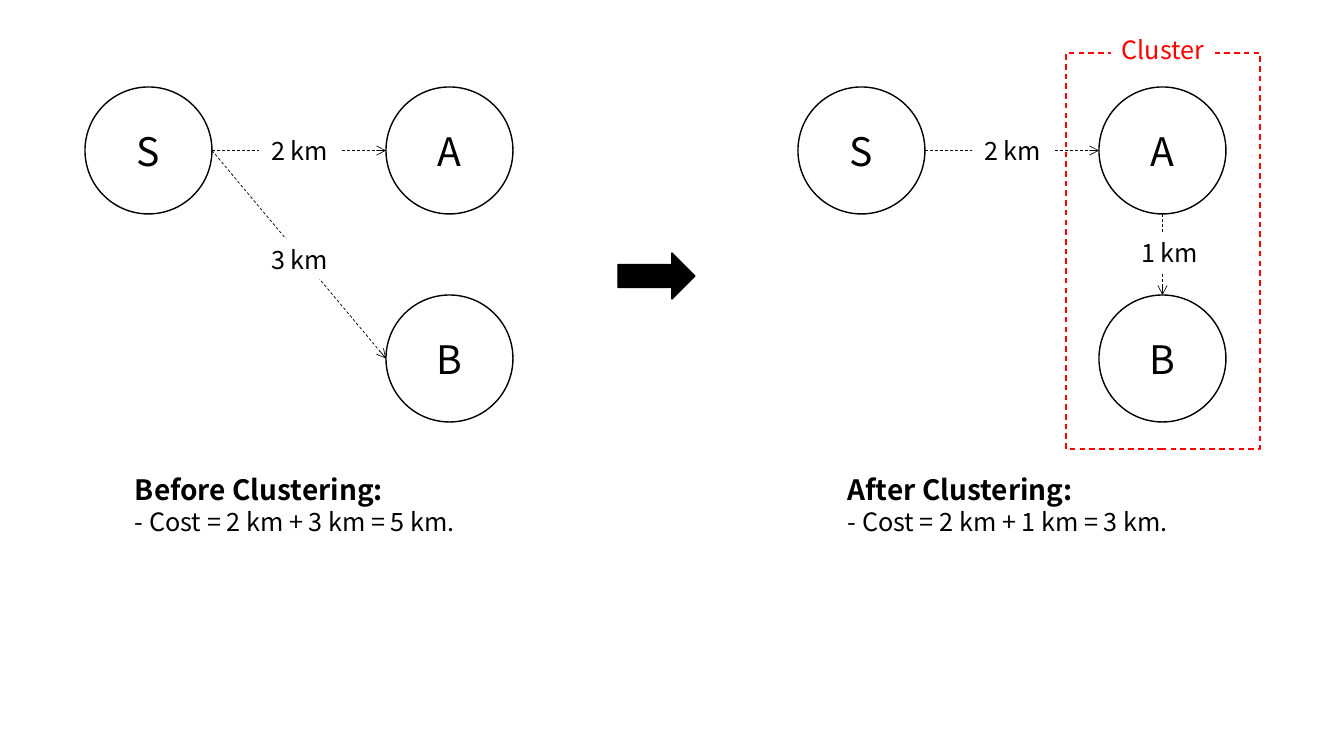
from lxml import etree
from pptx import Presentation
from pptx.dml.color import RGBColor
from pptx.enum.dml import MSO_LINE
from pptx.enum.shapes import MSO_CONNECTOR, MSO_SHAPE
from pptx.enum.text import MSO_ANCHOR, MSO_AUTO_SIZE, PP_ALIGN
from pptx.oxml.ns import qn
from pptx.util import Pt

OVAL, RECT, ARROW = MSO_SHAPE.OVAL, MSO_SHAPE.RECTANGLE, MSO_SHAPE.RIGHT_ARROW
STRAIGHT, DASH = MSO_CONNECTOR.STRAIGHT, MSO_LINE.DASH
LEFT, CENTER = PP_ALIGN.LEFT, PP_ALIGN.CENTER
MIDDLE, GROW = MSO_ANCHOR.MIDDLE, MSO_AUTO_SIZE.SHAPE_TO_FIT_TEXT

COLORS = {"ink": "000000", "paper": "FFFFFF", "cluster": "FF0000"}
FONT = "Noto Sans CJK KR"
PX = 914400 / 100.8

DIAMETER = 127
NODES = {"S": (0, 87), "A": (301, 87), "B": (301, 295)}
SIDES = {"left": (0, 0.5), "right": (1, 0.5), "top": (0.5, 0), "bottom": (0.5, 1)}
LABEL_W, LABEL_H = 81, 40

PANELS = [
    {
        "left": 85,
        "title": "Before Clustering:",
        "cost": "- Cost = 2 km + 3 km = 5 km.",
        "edges": [("S", "right", "A", "left"), ("S", "right", "B", "left")],
        "labels": [("2 km", 174, 130), ("3 km", 174, 239)],
    },
    {
        "left": 798,
        "title": "After Clustering:",
        "cost": "- Cost = 2 km + 1 km = 3 km.",
        "edges": [("S", "right", "A", "left"), ("A", "bottom", "B", "top")],
        "labels": [("2 km", 174, 130), ("1 km", 331, 232)],
        "cluster": "Cluster",
    },
]


def emu(*lengths):
    return [round(v * PX) for v in lengths]


def color(name):
    return RGBColor.from_string(COLORS[name])


def style_text(tf, sizes, ink="ink", align=CENTER):
    for p, size in zip(tf.paragraphs, sizes):
        p.alignment = align
        for r in p.runs:
            r.font.name, r.font.size = FONT, Pt(size)
            r.font.color.rgb = color(ink)


def add_shape(s, kind, box, line="ink", fill=None):
    sp = s.shapes.add_shape(kind, *emu(*box))
    sp.shadow.inherit = False
    if fill:
        sp.fill.solid()
        sp.fill.fore_color.rgb = color(fill)
    else:
        sp.fill.background()
    sp.line.color.rgb = color(line)
    sp.line.width = Pt(1)
    return sp


def add_text(s, text, box, sizes, ink="ink", align=CENTER, fill=None):
    sp = s.shapes.add_textbox(*emu(*box))
    if fill:
        sp.fill.solid()
        sp.fill.fore_color.rgb = color(fill)
    tf = sp.text_frame
    tf.word_wrap, tf.auto_size = True, GROW
    tf.text = text
    style_text(tf, sizes, ink, align)
    return tf


def add_node(s, name, left):
    x, y = NODES[name]
    sp = add_shape(s, OVAL, (left + x, y, DIAMETER, DIAMETER))
    tf = sp.text_frame
    tf.vertical_anchor = MIDDLE
    tf.text = name
    style_text(tf, [28])


def anchor(name, side, left):
    (x, y), (fx, fy) = NODES[name], SIDES[side]
    return left + x + fx * DIAMETER, y + fy * DIAMETER


def add_edge(s, start, end):
    cn = s.shapes.add_connector(STRAIGHT, *emu(*start, *end))
    cn.line.color.rgb = color("ink")
    cn.line.width = Pt(0.5)
    cn.line.dash_style = DASH
    etree.SubElement(cn.line._get_or_add_ln(), qn("a:tailEnd"), type="arrow")
    etree.SubElement(cn._element.spPr, qn("a:effectLst"))


def add_panel(s, panel):
    left = panel["left"]
    for name in NODES:
        add_node(s, name, left)
    for a, a_side, b, b_side in panel["edges"]:
        add_edge(s, anchor(a, a_side, left), anchor(b, b_side, left))
    for text, x, y in panel["labels"]:
        add_text(s, text, (left + x, y, LABEL_W, LABEL_H), [18], fill="paper")
    caption = panel["title"] + "\n" + panel["cost"]
    tf = add_text(s, caption, (left + 40, 468, 371, 75), [20, 18], align=LEFT)
    tf.paragraphs[0].runs[0].font.bold = True
    if "cluster" in panel:
        frame = add_shape(s, RECT, (left + 268, 53, 194, 396), "cluster")
        frame.line.dash_style = DASH
        add_text(s, panel["cluster"], (left + 313, 29, 104, LABEL_H), [18],
                 "cluster", fill="paper")


def main():
    prs = Presentation()
    prs.slide_width, prs.slide_height = emu(1344, 756)
    s = prs.slides.add_slide(prs.slide_layouts[6])
    before, after = PANELS
    add_panel(s, before)
    add_shape(s, ARROW, (618, 253, 77, 46), fill="ink")
    add_panel(s, after)
    prs.save("out.pptx")


if __name__ == "__main__":
    main()
